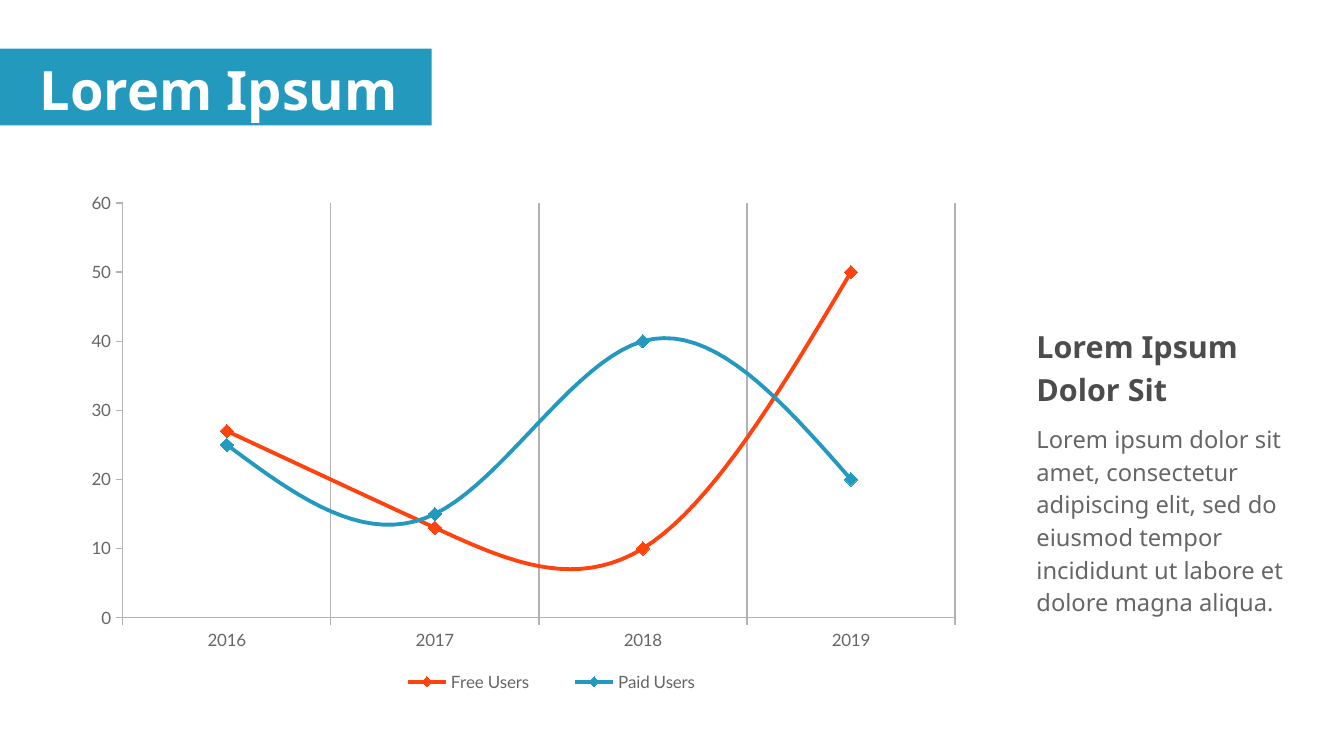
from dataclasses import dataclass

from lxml import etree
from pptx import Presentation
from pptx import util as u
from pptx.chart.data import CategoryChartData
from pptx.dml.color import RGBColor
from pptx.enum import chart as ch, shapes, text
from pptx.oxml.ns import qn

WIDTH, HEIGHT = 11.02, 6.2
BLUE, ORANGE, WHITE = "2499BE", "FF420E", "FFFFFF"
HEADING_GREY, TEXT_GREY, LINE_GREY = "4C4C4C", "666666", "B3B3B3"


@dataclass
class Box:
    """A rectangle in shares of the slide's width and height."""
    left: float
    top: float
    width: float
    height: float

    def lengths(self) -> list[int]:
        shares = (self.left, self.top, self.width, self.height)
        return [u.Inches(share * side) for share, side in zip(shares, (WIDTH, HEIGHT) * 2)]


def inches(left: float, top: float, width: float, height: float) -> Box:
    return Box(left / WIDTH, top / HEIGHT, width / WIDTH, height / HEIGHT)


@dataclass
class Caption:
    box: Box
    words: str
    size: int
    color: str
    bold: bool


@dataclass
class Series:
    name: str
    values: tuple[int, ...]
    color: str


YEARS = ("2016", "2017", "2018", "2019")
USERS = (
    Series("Free Users", (27, 13, 10, 50), ORANGE),
    Series("Paid Users", (25, 15, 40, 20), BLUE),
)
CAPTIONS = (
    Caption(inches(8.4, 2.6, 2.1, 0.88), "Lorem Ipsum Dolor Sit", 18, HEADING_GREY, True),
    Caption(
        inches(8.4, 3.4, 2.43, 2.16),
        "Lorem ipsum dolor sit amet, consectetur adipiscing elit, sed do eiusmod "
        "tempor incididunt ut labore et dolore magna aliqua.",
        14, TEXT_GREY, False,
    ),
)


def rgb(color: str) -> RGBColor:
    return RGBColor.from_string(color)


def style_font(font, name: str, size: int, color: str, bold: bool = False) -> None:
    font.name, font.size, font.bold = name, u.Pt(size), bold
    font.color.rgb = rgb(color)


def style_line(line, color: str, width: float) -> None:
    line.color.rgb = rgb(color)
    line.width = u.Pt(width)


def place(shape, box: Box) -> None:
    shape.left, shape.top, shape.width, shape.height = box.lengths()


def add_banner(slide) -> None:
    banner = slide.shapes.add_shape(
        shapes.MSO_SHAPE.RECTANGLE, *inches(0, 0.4, 3.54, 0.63).lengths())
    banner.shadow.inherit = False
    banner.fill.solid()
    banner.fill.fore_color.rgb = rgb(BLUE)
    banner.line.fill.background()


def fill_title(title) -> None:
    place(title, inches(0.12, 0.42, 3.35, 0.61))
    frame = title.text_frame
    frame.margin_left = frame.margin_top = frame.margin_right = frame.margin_bottom = 0
    frame.auto_size = text.MSO_AUTO_SIZE.NONE
    frame.vertical_anchor = text.MSO_ANCHOR.MIDDLE
    paragraph = frame.paragraphs[0]
    paragraph.alignment = text.PP_ALIGN.CENTER
    run = paragraph.add_run()
    run.text = "Lorem Ipsum"
    style_font(run.font, "Noto Sans", 32, WHITE, True)


def add_caption(slide, caption: Caption) -> None:
    frame = slide.shapes.add_textbox(*caption.box.lengths()).text_frame
    frame.word_wrap = True
    frame.auto_size = text.MSO_AUTO_SIZE.SHAPE_TO_FIT_TEXT
    paragraph = frame.paragraphs[0]
    paragraph.line_spacing = 1.15
    run = paragraph.add_run()
    run.text = caption.words
    style_font(run.font, "Noto Sans", caption.size, caption.color, caption.bold)


def set_layout(parent, after: str, box: Box, inner: bool = False) -> None:
    """Fix the place of a chart part, in shares of the chart's size."""
    for old in parent.findall(qn("c:layout")):
        parent.remove(old)
    layout = etree.Element(qn("c:layout"))
    manual = etree.SubElement(layout, qn("c:manualLayout"))
    settings = [("layoutTarget", "inner")] if inner else []
    settings += [("xMode", "edge"), ("yMode", "edge"), ("x", box.left),
                 ("y", box.top), ("w", box.width), ("h", box.height)]
    for tag, value in settings:
        etree.SubElement(manual, qn(f"c:{tag}")).set("val", str(value))
    previous = parent.find(qn(after)) if after else None
    parent.insert(0 if previous is None else parent.index(previous) + 1, layout)


def style_axis(axis, gridlines: bool) -> None:
    axis.major_tick_mark = ch.XL_TICK_MARK.OUTSIDE
    axis.minor_tick_mark = ch.XL_TICK_MARK.NONE
    style_font(axis.tick_labels.font, "Lato", 10, TEXT_GREY)
    style_line(axis.format.line, LINE_GREY, 0)
    axis.has_major_gridlines = gridlines
    if gridlines:
        style_line(axis.major_gridlines.format.line, LINE_GREY, 0)


def style_series(line, color: str) -> None:
    line.smooth = True
    style_line(line.format.line, color, 2.27)
    line.marker.style = ch.XL_MARKER_STYLE.DIAMOND
    line.marker.size = 8
    line.marker.format.fill.solid()
    line.marker.format.fill.fore_color.rgb = rgb(color)
    style_line(line.marker.format.line, color, 0.75)


def add_users_chart(slide) -> None:
    data = CategoryChartData()
    data.categories = YEARS
    for series in USERS:
        data.add_series(series.name, series.values)
    chart = slide.shapes.add_chart(
        ch.XL_CHART_TYPE.LINE_MARKERS, *inches(0.6, 1.5, 7.54, 4.24).lengths(), data).chart
    style_font(chart.font, "Arial", 10, "000000")
    chart.has_title = False
    chart.plots[0].vary_by_categories = False
    for line, series in zip(chart.plots[0].series, USERS):
        style_series(line, series.color)

    style_axis(chart.category_axis, True)
    style_axis(chart.value_axis, False)
    chart.value_axis.minimum_scale = 0
    chart.value_axis.maximum_scale = 60
    chart.value_axis.major_unit = 10
    plot_area = chart.category_axis._element.getparent()
    for crossing in plot_area.iter(qn("c:crossBetween")):
        crossing.set("val", "midCat")
    set_layout(plot_area, "", Box(0.054, 0.039, 0.905, 0.802), inner=True)

    chart.has_legend = True
    chart.legend.position = ch.XL_LEGEND_POSITION.BOTTOM
    chart.legend.include_in_layout = False
    style_font(chart.legend.font, "Lato", 10, TEXT_GREY)
    set_layout(chart.legend._element, "c:legendPos", Box(0.32, 0.93, 0.4, 0.07))


def main() -> None:
    presentation = Presentation()
    presentation.slide_width, presentation.slide_height = u.Inches(WIDTH), u.Inches(HEIGHT)
    slide = presentation.slides.add_slide(presentation.slide_layouts.get_by_name("Title Only"))
    title = slide.shapes.title
    add_banner(slide)
    for caption in CAPTIONS:
        add_caption(slide, caption)
    add_users_chart(slide)
    fill_title(title)
    slide.shapes._spTree.append(title._element)
    presentation.save("out.pptx")


if __name__ == "__main__":
    main()
